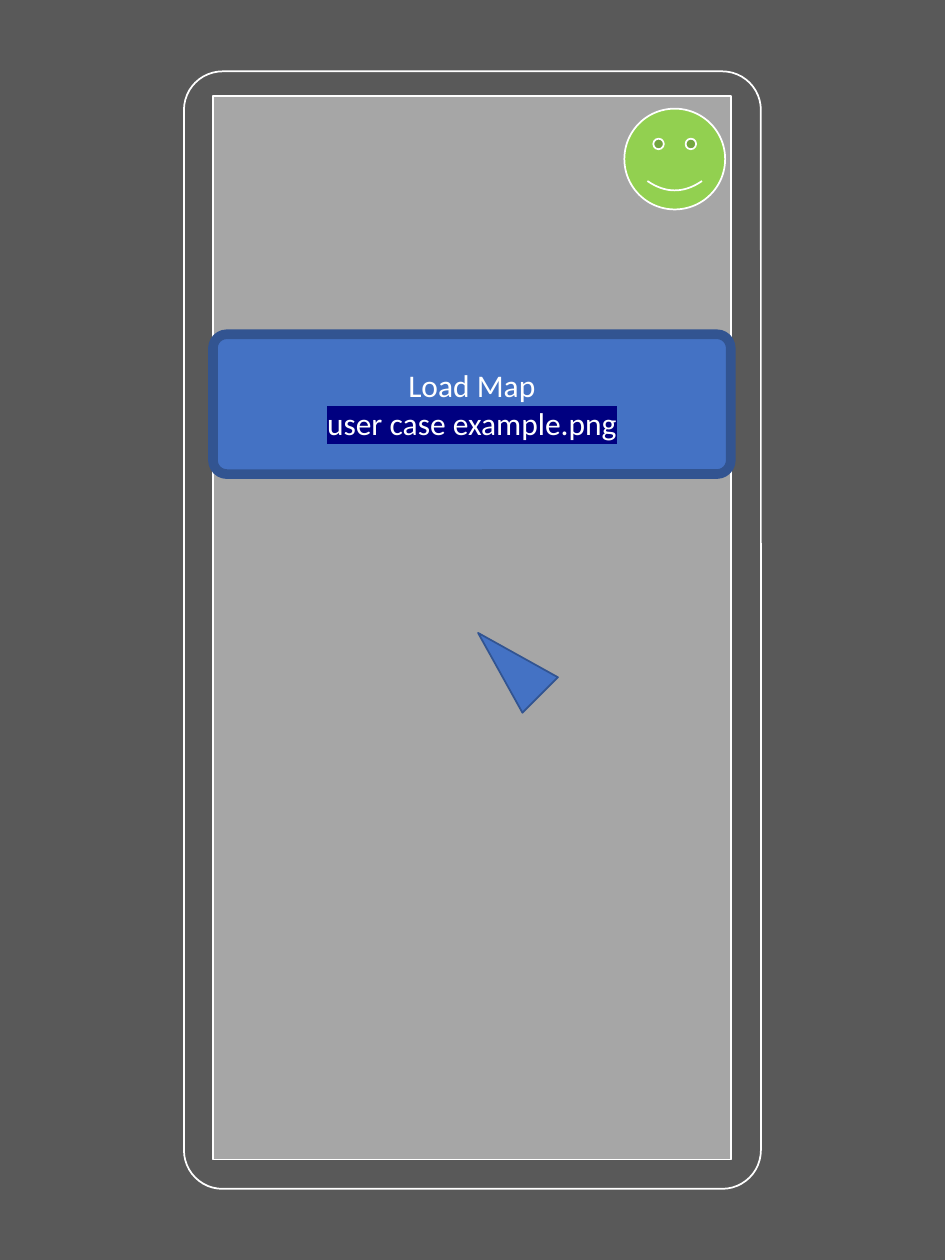
from lxml.etree import SubElement
from pptx import Presentation
from pptx.dml.color import RGBColor
from pptx.enum.shapes import MSO_SHAPE as SHAPE
from pptx.enum.text import MSO_ANCHOR, PP_ALIGN
from pptx.oxml.ns import qn
from pptx.util import Pt

WHITE = RGBColor(0xFF, 0xFF, 0xFF)
SCREEN_GRAY = RGBColor(0xA6, 0xA6, 0xA6)
SURROUND_GRAY = RGBColor(0x59, 0x59, 0x59)
BLUE = RGBColor(0x44, 0x72, 0xC4)
DARK_BLUE = RGBColor(0x32, 0x54, 0x91)
GREEN = RGBColor(0x92, 0xD0, 0x50)
HIGHLIGHT = RGBColor(0x00, 0x00, 0x80)

SCREEN = (121.7, 54.9, 295.9, 607.7)  # left, top, width, height


def add_shape(s, kind, box, fill=None, line=None, weight=1, adj=None):
    sp = s.shapes.add_shape(kind, *(Pt(v) for v in box))
    sp.shadow.inherit = False
    if fill is None:
        sp.fill.background()
    else:
        sp.fill.solid()
        sp.fill.fore_color.rgb = fill
    if line is None:
        sp.line.fill.background()
    else:
        sp.line.color.rgb = line
        sp.line.width = Pt(weight)
    if adj is not None:
        sp.adjustments[0] = adj
    return sp


def grow(box, dx, dy):
    x, y, w, h = box
    return x - dx, y - dy, w + 2 * dx, h + 2 * dy


def add_phone(s, box):
    # Dark surround whose opening is the screen
    border = 237.6
    surround = grow(box, border, border)
    add_shape(s, SHAPE.FRAME, surround, SURROUND_GRAY, adj=border / surround[2])
    # Screen edge and phone body
    add_shape(s, SHAPE.RECTANGLE, box, line=WHITE)
    x, y, w, h = box
    body = (x - 16.6, y - 14.1, w + 33.8, h + 30.9)
    add_shape(s, SHAPE.ROUNDED_RECTANGLE, body, line=WHITE, adj=0.067)


def add_pointer(s, box):
    x, y, w, h = box
    pointer = (x + 154.9, y + 299.4, 28.7, 50.2)
    sp = add_shape(s, SHAPE.ISOSCELES_TRIANGLE, pointer, BLUE, DARK_BLUE)
    sp.rotation = 315


def add_load_button(s, box):
    x, y, w, h = box
    sp = add_shape(s, SHAPE.ROUNDED_RECTANGLE, (x, y + 136.1, w, 79.9),
                   BLUE, DARK_BLUE, 5.5, 0.099)
    tf = sp.text_frame
    tf.word_wrap = True
    tf.vertical_anchor = MSO_ANCHOR.MIDDLE
    tf.text = "Load Map\nuser case example.png"
    for p in tf.paragraphs:
        p.alignment = PP_ALIGN.CENTER
        p.font.size = Pt(18)
        p.font.name = "Calibri"
        p.font.color.rgb = WHITE
    # Highlighted file name
    r = tf.paragraphs[1].runs[0]
    mark = SubElement(r.font._element, qn("a:highlight"))
    SubElement(mark, qn("a:srgbClr")).set("val", str(HIGHLIGHT))


def add_status_face(s, box):
    x, y, w, h = box
    size = 57.6
    add_shape(s, SHAPE.SMILEY_FACE, (x + w - size - 3.2, y + 7.2, size, size),
              GREEN, WHITE)


def main():
    prs = Presentation()
    prs.slide_width, prs.slide_height = Pt(540), Pt(720)
    s = prs.slides.add_slide(prs.slide_layouts[6])
    s.background.fill.solid()
    s.background.fill.fore_color.rgb = SCREEN_GRAY
    for add_part in (add_phone, add_pointer, add_load_button, add_status_face):
        add_part(s, SCREEN)
    prs.save("out.pptx")


if __name__ == "__main__":
    main()
